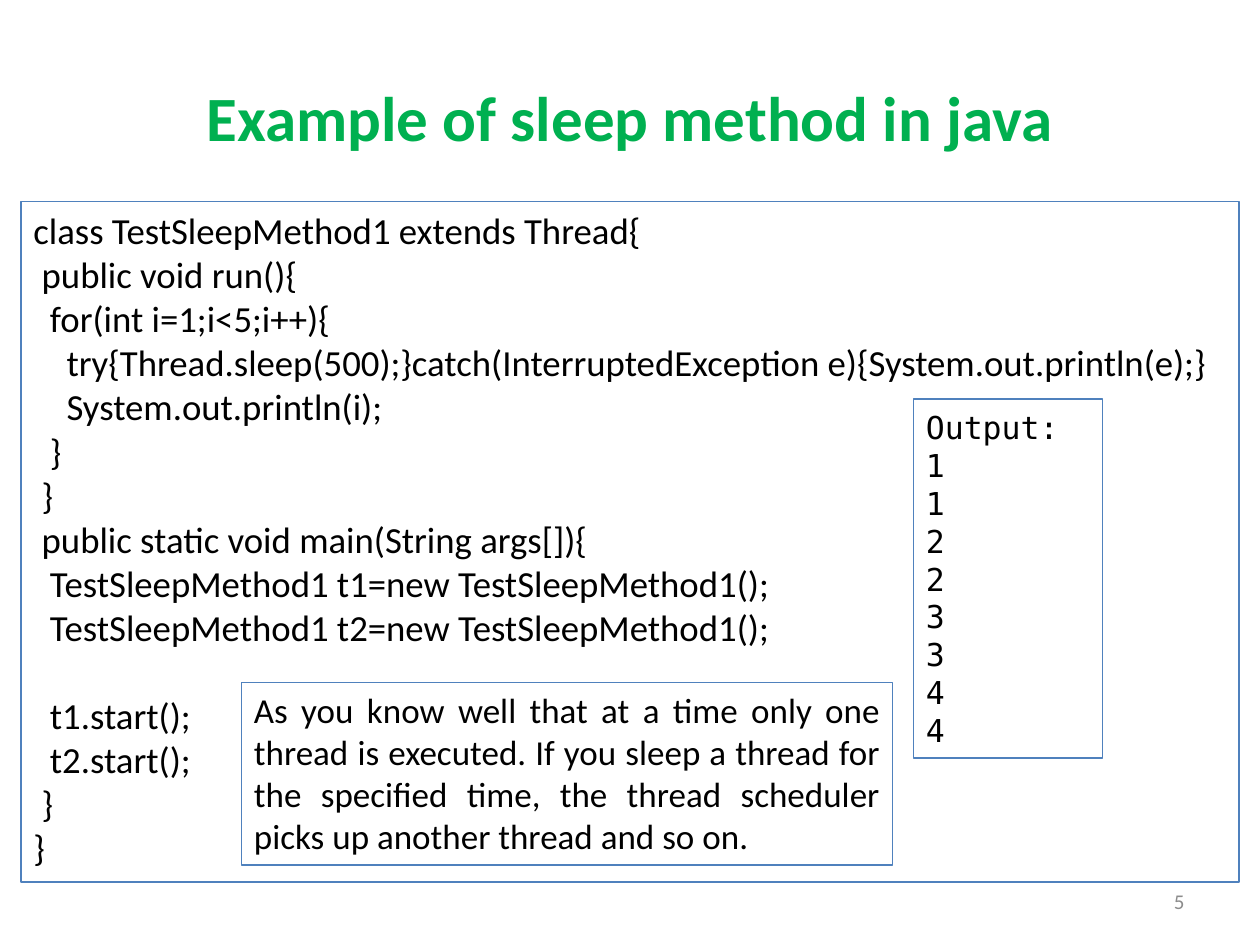
from dataclasses import dataclass
from pptx import Presentation
from pptx.dml.color import RGBColor as RGB
from pptx.enum.shapes import MSO_SHAPE as Shape
from pptx.enum.text import MSO_ANCHOR as Anchor, PP_ALIGN as Align
from pptx.util import Pt


@dataclass(frozen=True)
class Theme:
    green: RGB = RGB(0x00, 0xB0, 0x50)
    blue: RGB = RGB(0x4F, 0x81, 0xBD)
    black: RGB = RGB(0, 0, 0)
    white: RGB = RGB(255, 255, 255)
    grey: RGB = RGB(0x8C, 0x8C, 0x8C)
    sans: str = "Calibri"
    mono: str = "DejaVu Sans Mono"
    head: int = 36
    code: int = 21
    note: int = 20
    out: int = 18
    page: int = 12


THEME = Theme()

CODE = """class TestSleepMethod1 extends Thread{
 public void run(){
  for(int i=1;i<5;i++){
    try{Thread.sleep(500);}catch(InterruptedException e){System.out.println(e);}
    System.out.println(i);
  }
 }
 public static void main(String args[]){
  TestSleepMethod1 t1=new TestSleepMethod1();
  TestSleepMethod1 t2=new TestSleepMethod1();
  t1.start();
  t2.start();
 }
}""".split("\n")
START = 10  # code line that follows the gap

OUTPUT = ["Output:"] + [str(n) for n in range(1, 5) for _ in range(2)]

NOTE = ("As you know well that at a time only one thread is executed. "
        "If you sleep a thread for the specified time, the thread scheduler "
        "picks up another thread and so on.")


def style(item, values):
    for name, value in values.items():
        setattr(item, name, value)


def write(shape, lines, font, align=Align.LEFT, anchor=Anchor.TOP, inset=3.6):
    """Fill a shape with one paragraph per line."""
    frame = shape.text_frame
    style(frame, {"word_wrap": True, "vertical_anchor": anchor,
                  "margin_top": Pt(inset), "margin_bottom": Pt(inset)})
    color = font.pop("color", THEME.black)
    for i, line in enumerate(lines):
        para = frame.add_paragraph() if i else frame.paragraphs[0]
        para.alignment = align
        run = para.add_run()
        run.text = line
        style(run.font, font)
        run.font.color.rgb = color
    return frame.paragraphs


def label(slide, place, text, font, align):
    box = slide.shapes.add_textbox(*map(Pt, place))
    write(box, [text], font, align, Anchor.MIDDLE)


def panel(slide, place, lines, font, fill=None, **layout):
    """Add an outlined box of text."""
    box = slide.shapes.add_shape(Shape.RECTANGLE, *map(Pt, place))
    box.shadow.inherit = False
    if fill is None:
        box.fill.background()
    else:
        box.fill.solid()
        box.fill.fore_color.rgb = fill
    box.line.color.rgb = THEME.blue
    box.line.width = Pt(0.75)
    return write(box, lines, font, **layout)


def main():
    deck = Presentation()
    style(deck, {"slide_width": Pt(720), "slide_height": Pt(540)})
    slide = deck.slides.add_slide(deck.slide_layouts[6])

    # Title and page number
    label(slide, (36, 21.6, 648, 90), "Example of sleep method in java",
          {"name": THEME.sans, "size": Pt(THEME.head), "bold": True,
           "color": THEME.green}, Align.CENTER)
    label(slide, (516, 500.5, 168, 28.8), "5",
          {"name": THEME.sans, "size": Pt(THEME.page),
           "color": THEME.grey}, Align.RIGHT)

    # Program listing
    rows = panel(slide, (12, 115.2, 696, 388.8), CODE,
                 {"name": THEME.sans, "size": Pt(THEME.code)})
    rows[START].space_before = Pt(25.2)

    # Program output
    panel(slide, (522, 228, 108, 205.2), OUTPUT,
          {"name": THEME.mono, "size": Pt(THEME.out)}, THEME.white,
          align=Align.JUSTIFY, anchor=Anchor.MIDDLE, inset=4.3)

    # Explanation
    panel(slide, (138, 390, 372, 104.4), [NOTE],
          {"name": THEME.sans, "size": Pt(THEME.note)}, align=Align.JUSTIFY)

    deck.save("out.pptx")


if __name__ == "__main__":
    main()
